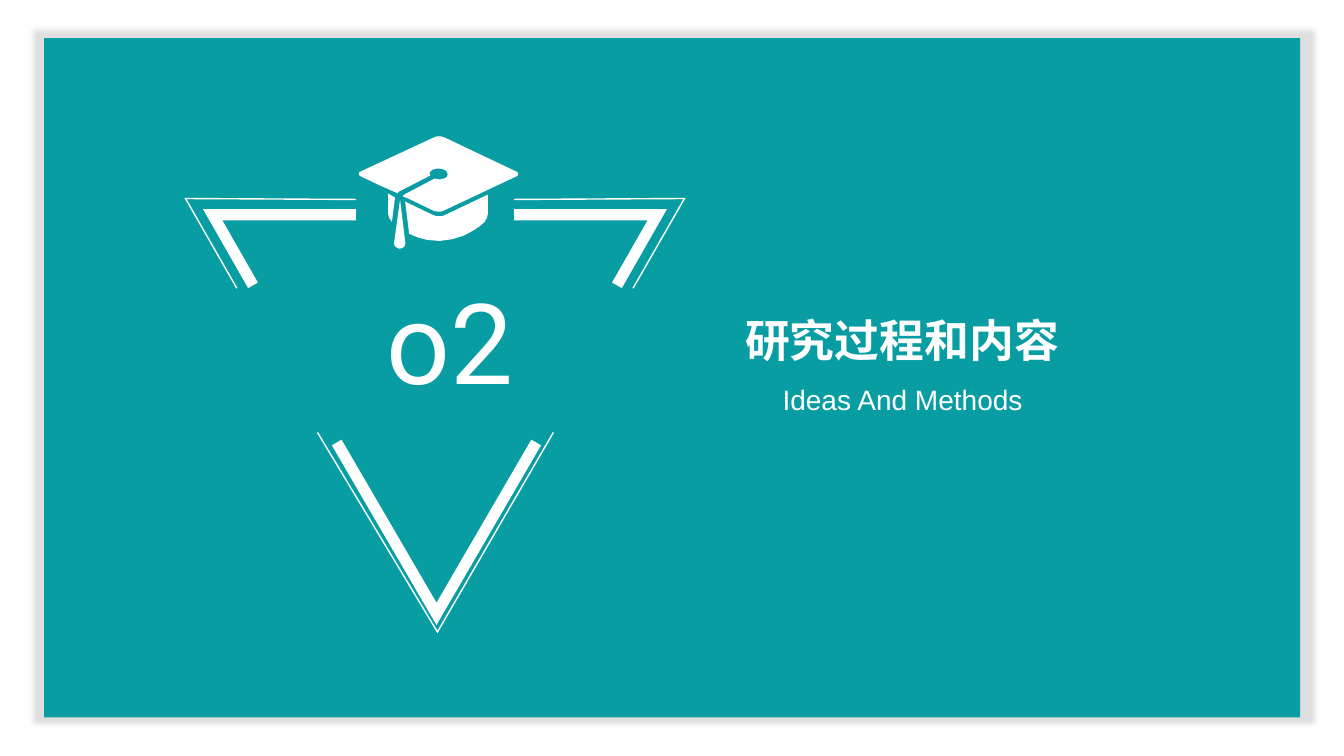
from dataclasses import dataclass

from lxml.etree import SubElement
from pptx import Presentation
from pptx.dml.color import RGBColor
from pptx.enum.shapes import MSO_SHAPE as Preset
from pptx.enum.text import MSO_ANCHOR as Anchor, MSO_AUTO_SIZE as AutoSize, PP_ALIGN as Align
from pptx.oxml.ns import qn
from pptx.shapes.autoshape import Shape
from pptx.slide import Slide
from pptx.util import Pt

Points = list[tuple[float, float]]


@dataclass(frozen=True)
class Theme:
    teal: RGBColor = RGBColor(0x08, 0x9D, 0xA3)
    white: RGBColor = RGBColor(0xFF, 0xFF, 0xFF)
    shadow: str = "A6A6A6"
    number_size: int = 80
    title_size: int = 32
    subtitle_size: int = 20
    thin: int = 1
    thick: int = 8


@dataclass(frozen=True)
class Stroke:
    points: Points
    weight: int


@dataclass(frozen=True)
class Label:
    text: str
    left: float
    top: float
    width: float
    height: float
    size: int
    font: str
    bold: bool = False
    inset: float = 3.6
    anchor: Anchor = Anchor.TOP


THEME = Theme()
MIRROR_AXIS = 310.7

# Triangle: left corners are mirrored to the right, the tips stand alone
CORNERS = [
    Stroke([(169.2, 205.9), (132.5, 141.8), (254.2, 142.5)], THEME.thin),
    Stroke([(180.7, 203.8), (151.9, 153.4), (254.2, 153.4)], THEME.thick),
]
TIPS = [
    Stroke([(395.3, 308.9), (312.5, 451.4), (226.8, 308.9)], THEME.thin),
    Stroke([(383, 316.1), (311.8, 438.5), (240.5, 316.1)], THEME.thick),
]

# Graduation cap
BOARD: Points = [
    (309, 98.6), (311.2, 97.6), (313.2, 97.3), (315.4, 97.5), (317.5, 98.2),
    (368.5, 122.4), (369.9, 123.3), (370.1, 124.5), (369.8, 125.4), (368.6, 126.1),
    (316.8, 150.5), (315, 151.1), (313.2, 151.2), (311.4, 151), (309.6, 150.5),
    (291.6, 141.8), (288, 140.4), (288, 139.7), (288.7, 139),
    (310.3, 127.6), (314, 128.2), (317.5, 127.4), (319.3, 126.3), (319.8, 124.6),
    (319.3, 122.8), (318.2, 121.6), (315.5, 120.6), (312, 120.4), (309.2, 121.1),
    (307.4, 122.4), (306.8, 123.8), (307.4, 125.3),
    (285.1, 136.8), (284.5, 137.4), (284.4, 138.2),
    (271.4, 132.5), (257.8, 126), (256.6, 125.1), (256.3, 124), (256.6, 123), (257.8, 122.4),
]
SIDE: Points = [(277.2, 138.2), (282.2, 141.1), (280, 158.4), (278, 155.6), (277.2, 152.6)]
CROWN: Points = [
    (316.8, 154.1), (348.5, 139), (348.5, 152.6), (347.8, 155.6), (346.3, 158.4),
    (342.3, 161.9), (337.7, 164.9), (331.5, 168.2), (323, 170.9), (314, 172.1),
    (305.3, 171.4), (298.6, 169.7), (292.3, 167), (289.4, 144),
    (308.9, 153.4), (311, 154.2), (313.2, 154.5), (315, 154.4),
]
TASSEL: Points = [
    (281.5, 173.5), (285.8, 142.6), (289.4, 172.1), (289.6, 174.2), (288.9, 176),
    (287.3, 177.3), (285.1, 177.7), (283, 176.7), (281.8, 175.3),
]

LABELS = [
    Label("o2", 241.9, 190.8, 159.1, 104.4, THEME.number_size, "Roboto"),
    Label("研究过程和内容", 449.3, 223.2, 390.2, 46.1, THEME.title_size,
          "Noto Sans CJK SC", bold=True, inset=0),
    Label("Ideas And Methods", 447.1, 269.3, 395.3, 31.7, THEME.subtitle_size,
          "Arial", anchor=Anchor.MIDDLE),
]


def mirrored(stroke: Stroke) -> Stroke:
    return Stroke([(2 * MIRROR_AXIS - x, y) for x, y in stroke.points], stroke.weight)


def add_outline(page: Slide, points: Points, close: bool) -> Shape:
    start, *rest = [(Pt(x), Pt(y)) for x, y in points]
    builder = page.shapes.build_freeform(*start)
    builder.add_line_segments(rest, close=close)
    shape = builder.convert_to_shape()
    shape.shadow.inherit = False
    return shape


def add_stroke(page: Slide, stroke: Stroke) -> None:
    shape = add_outline(page, stroke.points, close=False)
    shape.fill.background()
    shape.line.color.rgb = THEME.white
    shape.line.width = Pt(stroke.weight)
    SubElement(shape.line._get_or_add_ln(), qn("a:miter"), lim="800000")


def add_solid(page: Slide, points: Points) -> None:
    shape = add_outline(page, points, close=True)
    shape.fill.solid()
    shape.fill.fore_color.rgb = THEME.white
    shape.line.fill.background()


def add_panel(page: Slide) -> None:
    panel = page.shapes.add_shape(Preset.RECTANGLE, Pt(31.5), Pt(27.3), Pt(897.2), Pt(485.1))
    panel.fill.solid()
    panel.fill.fore_color.rgb = THEME.teal
    panel.line.fill.background()
    panel.shadow.inherit = False
    # Soft shadow, slightly larger than the panel
    effects = panel._element.spPr.find(qn("a:effectLst"))
    shadow = SubElement(effects, qn("a:outerShdw"), blurRad=str(Pt(4)), dist=str(Pt(2)),
                        dir="0", sx="102000", sy="102000", algn="ctr", rotWithShape="0")
    color = SubElement(shadow, qn("a:srgbClr"), val=THEME.shadow)
    SubElement(color, qn("a:alpha"), val="36000")


def add_label(page: Slide, label: Label) -> None:
    box = page.shapes.add_textbox(Pt(label.left), Pt(label.top), Pt(label.width), Pt(label.height))
    frame = box.text_frame
    frame.word_wrap = True
    frame.auto_size = AutoSize.SHAPE_TO_FIT_TEXT
    frame.vertical_anchor = label.anchor
    frame.margin_top = frame.margin_bottom = Pt(label.inset)
    para = frame.paragraphs[0]
    para.alignment = Align.CENTER
    span = para.add_run()
    span.text = label.text
    span.font.size = Pt(label.size)
    span.font.name = label.font
    span.font.bold = label.bold
    span.font.color.rgb = THEME.white
    SubElement(span.font._element, qn("a:ea"), typeface=label.font)


def main() -> None:
    deck = Presentation()
    deck.slide_width, deck.slide_height = Pt(960), Pt(540)
    page = deck.slides.add_slide(deck.slide_layouts[6])

    add_panel(page)
    for stroke in CORNERS + [mirrored(corner) for corner in CORNERS] + TIPS:
        add_stroke(page, stroke)
    for part in (BOARD, SIDE, CROWN, TASSEL):
        add_solid(page, part)
    for label in LABELS:
        add_label(page, label)

    deck.save("out.pptx")


if __name__ == "__main__":
    main()
